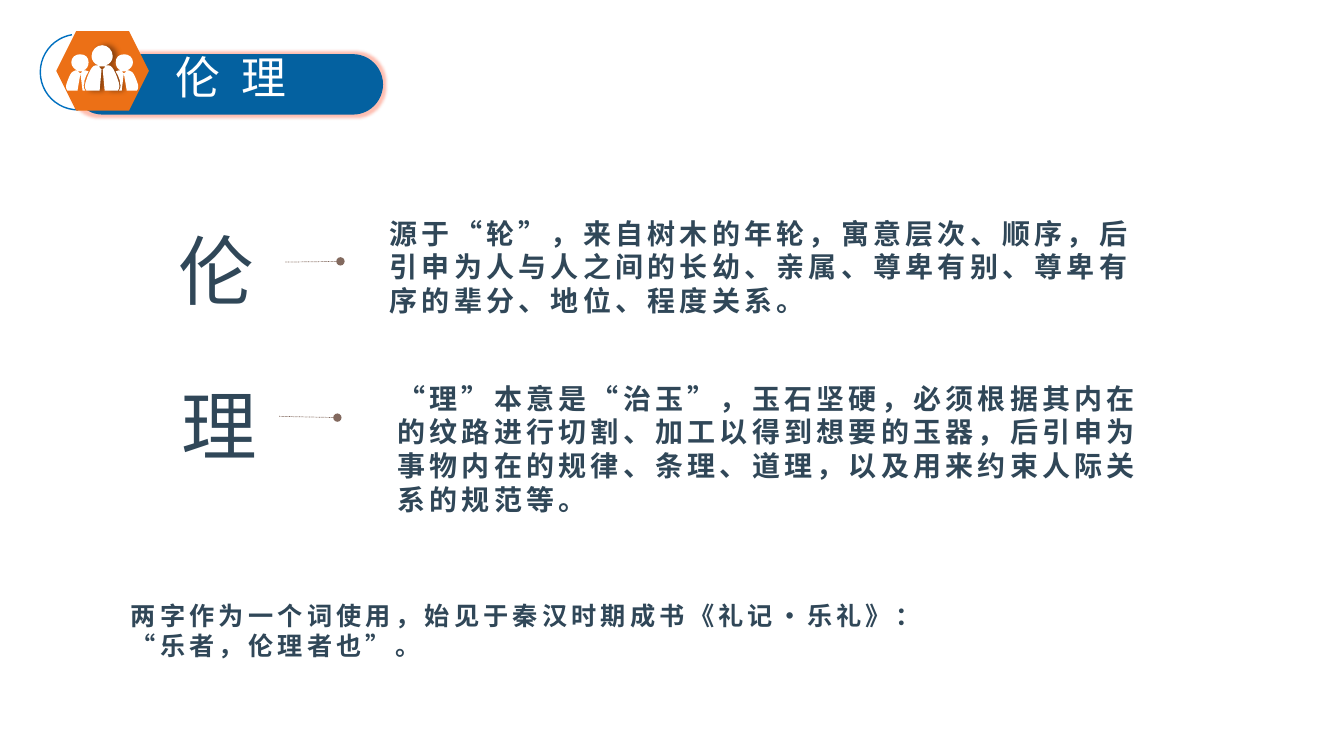
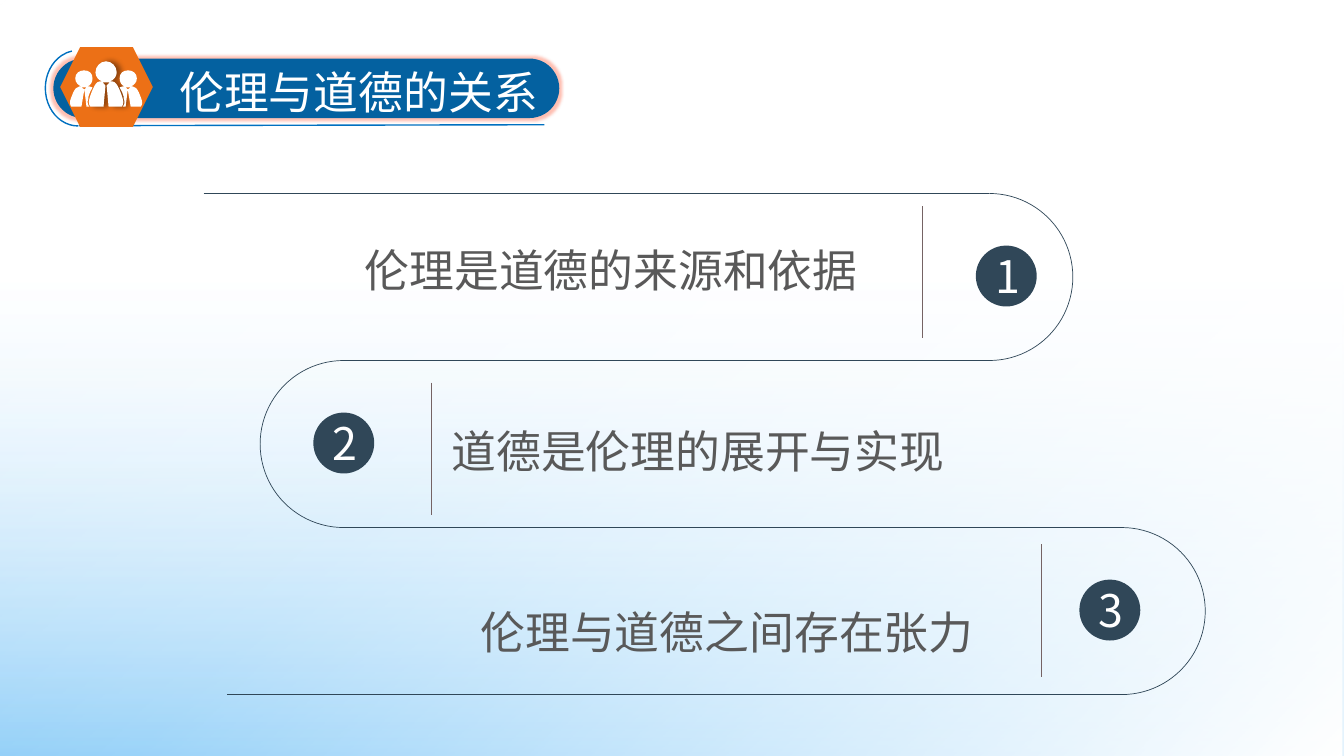
from dataclasses import dataclass
from typing import Any, NamedTuple, Optional

import lxml.etree
import pptx
import pptx.dml.color
import pptx.enum.dml
import pptx.enum.shapes
import pptx.enum.text
import pptx.oxml.ns
import pptx.util

Pt = pptx.util.Pt
RGBColor = pptx.dml.color.RGBColor
SHAPE = pptx.enum.shapes.MSO_SHAPE
ALIGN = pptx.enum.text.PP_ALIGN
qn = pptx.oxml.ns.qn

WHITE = RGBColor(0xFF, 0xFF, 0xFF)
BLACK = RGBColor(0x00, 0x00, 0x00)
SKY = RGBColor(0x67, 0xBD, 0xF6)
BLUE = RGBColor(0x04, 0x61, 0xA0)
BRIGHT_BLUE = RGBColor(0x00, 0x70, 0xC0)
ORANGE = RGBColor(0xEC, 0x70, 0x16)
GLOW = RGBColor(0xFF, 0x60, 0x40)
NAVY = RGBColor(0x30, 0x47, 0x58)
GRAY = RGBColor(0x59, 0x59, 0x59)
BROWN = RGBColor(0x82, 0x69, 0x5E)
MAUVE = RGBColor(0x75, 0x63, 0x64)

CJK_FONT = "Noto Sans CJK SC"
TITLE_FONT = "Times New Roman"
SLIDE_WIDTH, SLIDE_HEIGHT = 960, 540
HEXAGON_WIDTH, HEXAGON_HEIGHT = 66.2, 56.9
ICON_AXIS = 32.8
TRACK_TOP, TRACK_PITCH = 138.2, 119.3
BADGE_OFFSET, BADGE_SIZE = 37.2, 43.5
DIVIDER_HEIGHT = 94.5
RIGHT_ARC = (162, 55.01)
LEFT_ARC = (52.99, 162)
HEADER_ARC = (53.91, 156.32)

Outline = list[tuple[float, ...]]


class Box(NamedTuple):
    left: float
    top: float
    width: float
    height: float


class Style(NamedTuple):
    size: float
    color: RGBColor
    font: str = CJK_FONT
    bold: bool = False
    spacing: float = 0
    line_spacing: Optional[float] = None
    align: Optional[ALIGN] = None
    vertical: bool = False


class Stop(NamedTuple):
    position: int
    color: RGBColor
    alpha: int


@dataclass(frozen=True)
class Header:
    title: str
    title_box: Box
    title_spacing: float
    arc: Box
    pill: Box
    hexagon_left: float
    hexagon_top: float
    underline: Optional[tuple[float, float, float, float]] = None


@dataclass(frozen=True)
class Term:
    character: str
    character_box: Box
    pointer: tuple[float, float, float, float]
    meaning: str
    meaning_box: Box


@dataclass(frozen=True)
class Relation:
    text: str
    text_box: Box
    style: Style
    line_start: float
    line_end: float
    arc_left: float
    arc_angles: tuple[float, float]
    divider_x: float
    divider_offset: float
    badge_left: float


TITLE_STYLE = Style(32, WHITE, TITLE_FONT)
CHARACTER_STYLE = Style(54, NAVY, spacing=3, vertical=True)
MEANING_STYLE = Style(20, NAVY, bold=True, spacing=3)
QUOTE_STYLE = Style(18, NAVY, bold=True, spacing=3)
RELATION_STYLE = Style(32, GRAY, TITLE_FONT)
SPACED_STYLE = RELATION_STYLE._replace(line_spacing=1.3, align=ALIGN.JUSTIFY)
BADGE_STYLE = Style(32, WHITE)

# Outlines around the icon axis: two numbers are a line, six are a cubic curve.
LEADER: Outline = [
    (11.9, 36.7), (11.2, 34.6, 8.3, 24.5, 4.7, 24.5), (2.5, 24.5),
    (5.4, 23.8, 7.6, 20.9, 7.6, 18), (7.6, 13.7, 4, 10.1, 0, 10.1),
    (-4, 10.1, -7.6, 13.7, -7.6, 18), (-7.6, 20.9, -5.4, 23.8, -2.5, 24.5),
    (-4.7, 24.5), (-8.3, 24.5, -11.2, 34.6, -11.9, 36.7),
    (-13.3, 40.3, -11.2, 42.5, -11.2, 42.5), (-1.8, 42.5), (-0.4, 27.4),
    (-2.5, 25.2), (2.5, 25.2), (0.4, 27.4), (1.8, 42.5), (11.2, 42.5),
    (11.2, 42.5, 13.3, 40.3, 11.9, 36.7),
]
COMPANION: Outline = [
    (25.6, 38.2), (24.8, 36, 22.7, 28.1, 19.1, 28.1), (17.6, 28.1),
    (19.8, 27.4, 22, 25.2, 22, 22.3), (22, 18.7, 19.1, 16.6, 15.8, 16.6),
    (11.9, 16.6, 9.7, 18.7, 9.7, 22.3), (9.7, 25.2, 11.2, 27.4, 13.3, 28.1),
    (11.9, 28.1), (11.2, 28.1, 10.4, 28.1, 9.7, 28.8),
    (11.2, 31, 11.9, 33.1, 12.6, 35.3), (12.6, 36.7),
    (14, 39.6, 12.6, 41.8, 11.9, 42.5), (14, 42.5), (15.5, 30.2), (14, 28.8),
    (17.6, 28.8), (15.5, 30.2), (17.6, 42.5), (24.8, 42.5),
    (24.8, 42.5, 26.3, 41, 25.6, 38.2),
]

ETHICS_HEADER = Header(
    "伦 理", Box(118, 31.7, 145, 46), 4, Box(28.8, 24.5, 54, 54),
    Box(51.8, 38.7, 221.8, 43.2), 40.2, 22.2)
RELATION_HEADER = Header(
    "伦理与道德的关系", Box(121, 42.5, 291.6, 46), 0, Box(32.4, 36, 46.8, 54),
    Box(38.1, 41.8, 361.4, 42.5), 43, 33.7, (56.2, 89.8, 388.8, 89.1))

TERMS = [
    Term("伦", Box(108.7, 159.1, 79.9, 56.2), (203.8, 187.2, 243.2, 186.7),
         "源于“轮”，来自树木的年轮，寓意层次、顺序，后引申为人与人之间的长幼、亲属、"
         "尊卑有别、尊卑有序的辈分、地位、程度关系。",
         Box(271.3, 151, 549.4, 79.9)),
    Term("理", Box(110.9, 270, 79.9, 56.2), (199.4, 297.4, 241, 298.3),
         "“理”本意是“治玉”，玉石坚硬，必须根据其内在的纹路进行切割、加工以得到想要的玉器，"
         "后引申为事物内在的规律、条理、道理，以及用来约束人际关系的规范等。",
         Box(276.8, 268.8, 549.4, 104.4)),
]
QUOTE = "两字作为一个词使用，始见于秦汉时期成书《礼记·乐礼》：“乐者，伦理者也”。"

RELATIONS = [
    Relation("伦理是道德的来源和依据", Box(253.4, 169.9, 499, 46), RELATION_STYLE,
             145.4, 706.3, 647, RIGHT_ARC, 658.8, 9, 697),
    Relation("道德是伦理的展开与实现", Box(315.4, 287.3, 499, 57.6), SPACED_STYLE,
             244.8, 706.3, 185.8, LEFT_ARC, 308.2, 15.8, 223.8),
    Relation("伦理与道德之间存在张力", Box(336.2, 416.9, 373.7, 57.6), SPACED_STYLE,
             244.1, 802.8, 741.6, RIGHT_ARC, 743.8, 12, 771),
]
TRACK_BOTTOM = (162.4, 804.2)


def add_color(parent: Any, color: RGBColor, alpha: int) -> None:
    element = lxml.etree.SubElement(parent, qn("a:srgbClr"), val=str(color))
    lxml.etree.SubElement(element, qn("a:alpha"), val=str(alpha * 1000))


def add_effect(shape: Any, tag: str, color: RGBColor, alpha: int, **attributes: str) -> None:
    effects = shape._element.spPr.find(qn("a:effectLst"))
    add_color(lxml.etree.SubElement(effects, qn(tag), attributes), color, alpha)


def add_shape(shapes: Any, kind: SHAPE, box: Box, fill: Optional[RGBColor] = None) -> Any:
    shape = shapes.add_shape(kind, *map(Pt, box))
    shape.shadow.inherit = False
    shape.line.fill.background()
    if fill is None:
        shape.fill.background()
    else:
        shape.fill.solid()
        shape.fill.fore_color.rgb = fill
    return shape


def add_arc(shapes: Any, box: Box, angles: tuple[float, float],
            color: RGBColor, width: float) -> None:
    arc = add_shape(shapes, SHAPE.ARC, box)
    arc.adjustments[0], arc.adjustments[1] = angles
    arc.line.color.rgb = color
    arc.line.width = Pt(width)


def add_line(shapes: Any, ends: tuple[float, float, float, float],
             color: RGBColor, width: float = 0.5) -> Any:
    line = shapes.add_connector(pptx.enum.shapes.MSO_CONNECTOR.STRAIGHT, *map(Pt, ends))
    line.line.color.rgb = color
    line.line.width = Pt(width)
    lxml.etree.SubElement(line._element.spPr, qn("a:effectLst"))
    return line


def add_text(shapes: Any, text: str, box: Box, style: Style) -> None:
    frame = shapes.add_textbox(*map(Pt, box)).text_frame
    frame.word_wrap = True
    frame.auto_size = pptx.enum.text.MSO_AUTO_SIZE.SHAPE_TO_FIT_TEXT
    if style.vertical:
        frame._txBody.bodyPr.set("vert", "eaVert")
    frame.text = text
    paragraph = frame.paragraphs[0]
    paragraph.alignment = style.align
    paragraph.line_spacing = style.line_spacing
    run = paragraph.runs[0]
    run.font.size = Pt(style.size)
    run.font.name = style.font
    run.font.bold = style.bold
    run.font.color.rgb = style.color
    properties = run.font._element
    properties.set("lang", "zh-CN")
    properties.set("spc", str(int(style.spacing * 100)))
    lxml.etree.SubElement(properties, qn("a:ea"), typeface=CJK_FONT)


def mirror(outline: Outline) -> Outline:
    return [tuple(-value if place % 2 == 0 else value for place, value in enumerate(segment))
            for segment in outline]


def add_outline(shapes: Any, outline: Outline, left: float, top: float) -> Any:
    """Draw a white freeform, joining the three points of each curve into a Bézier."""
    points = [(Pt(left + x), Pt(top + y))
              for segment in outline for x, y in zip(segment[::2], segment[1::2])]
    builder = shapes.build_freeform(*points[0])
    builder.add_line_segments(points[1:], close=True)
    shape = builder.convert_to_shape()
    steps = iter(list(shape._element.spPr.iter(qn("a:lnTo"))))
    for segment in outline[1:]:
        first = next(steps)
        if len(segment) == 6:
            first.tag = qn("a:cubicBezTo")
            for _ in range(2):
                control = next(steps)
                first.append(control[0])
                control.getparent().remove(control)
    shape.shadow.inherit = False
    shape.fill.solid()
    shape.fill.fore_color.rgb = WHITE
    shape.line.fill.background()
    return shape


def add_people_icon(shapes: Any, left: float, top: float) -> None:
    icon = shapes.add_group_shape().shapes
    add_shape(icon, SHAPE.HEXAGON, Box(left, top, HEXAGON_WIDTH, HEXAGON_HEIGHT), ORANGE)
    axis = left + ICON_AXIS
    leader = add_outline(icon, LEADER, axis, top)
    add_effect(leader, "a:outerShdw", BLACK, 40,
               blurRad=str(Pt(4)), dist=str(Pt(3)), dir="0")
    for companion in (mirror(COMPANION), COMPANION):
        add_outline(icon, companion, axis, top)


def add_header(shapes: Any, header: Header) -> None:
    banner = shapes.add_group_shape().shapes
    add_arc(banner, header.arc, HEADER_ARC, BRIGHT_BLUE, 1)
    if header.underline:
        add_line(banner, header.underline, BRIGHT_BLUE, 1)
    pill = add_shape(banner, SHAPE.ROUNDED_RECTANGLE, header.pill, BLUE)
    pill.adjustments[0] = 0.5
    add_effect(pill, "a:glow", GLOW, 40, rad=str(Pt(4)))
    add_text(banner, header.title, header.title_box,
             TITLE_STYLE._replace(spacing=header.title_spacing))
    add_people_icon(shapes, header.hexagon_left, header.hexagon_top)


def add_gradient(shapes: Any, angle: int, stops: list[Stop]) -> None:
    """Cover the slide with a partly transparent linear gradient."""
    cover = add_shape(shapes, SHAPE.RECTANGLE, Box(0, 0, SLIDE_WIDTH, SLIDE_HEIGHT))
    gradient = lxml.etree.Element(qn("a:gradFill"), rotWithShape="1")
    stop_list = lxml.etree.SubElement(gradient, qn("a:gsLst"))
    for stop in stops:
        element = lxml.etree.SubElement(stop_list, qn("a:gs"), pos=str(stop.position * 1000))
        add_color(element, stop.color, stop.alpha)
    lxml.etree.SubElement(gradient, qn("a:lin"), ang=str(angle * 60000), scaled="0")
    properties = cover._element.spPr
    properties.replace(properties.find(qn("a:noFill")), gradient)


def add_term(shapes: Any, term: Term) -> None:
    add_text(shapes, term.character, term.character_box, CHARACTER_STYLE)
    add_text(shapes, term.meaning, term.meaning_box, MEANING_STYLE)
    pointer = add_line(shapes, term.pointer, BROWN)
    pointer.line.dash_style = pptx.enum.dml.MSO_LINE.ROUND_DOT
    lxml.etree.SubElement(pointer.line._get_or_add_ln(), qn("a:tailEnd"), type="oval")


def add_relation(shapes: Any, index: int, relation: Relation) -> None:
    top = TRACK_TOP + index * TRACK_PITCH
    add_line(shapes, (relation.line_start, top, relation.line_end, top), NAVY)
    add_arc(shapes, Box(relation.arc_left, top, TRACK_PITCH, TRACK_PITCH),
            relation.arc_angles, NAVY, 0.5)
    add_text(shapes, relation.text, relation.text_box, relation.style)
    divider_top = top + relation.divider_offset
    add_line(shapes, (relation.divider_x, divider_top,
                      relation.divider_x, divider_top + DIVIDER_HEIGHT), MAUVE)
    badge = shapes.add_group_shape().shapes
    left, badge_top = relation.badge_left, top + BADGE_OFFSET
    add_shape(badge, SHAPE.OVAL, Box(left, badge_top, BADGE_SIZE, BADGE_SIZE), NAVY)
    add_text(badge, str(index + 1), Box(left + 6.8, badge_top - 1, 28.1, 46), BADGE_STYLE)


def main() -> None:
    presentation = pptx.Presentation()
    presentation.slide_width, presentation.slide_height = Pt(SLIDE_WIDTH), Pt(SLIDE_HEIGHT)
    blank = presentation.slide_layouts[6]

    shapes = presentation.slides.add_slide(blank).shapes
    add_header(shapes, ETHICS_HEADER)
    for term in TERMS:
        add_term(shapes, term)
    add_text(shapes, QUOTE, Box(86.4, 425, 576, 51.1), QUOTE_STYLE)

    shapes = presentation.slides.add_slide(blank).shapes
    add_gradient(shapes, 90, [Stop(0, WHITE, 0), Stop(37, WHITE, 25), Stop(100, SKY, 88)])
    add_gradient(shapes, 45, [Stop(0, WHITE, 0), Stop(42, WHITE, 25), Stop(100, WHITE, 100)])
    add_header(shapes, RELATION_HEADER)
    for index, relation in enumerate(RELATIONS):
        add_relation(shapes, index, relation)
    bottom = TRACK_TOP + len(RELATIONS) * TRACK_PITCH
    add_line(shapes, (TRACK_BOTTOM[0], bottom, TRACK_BOTTOM[1], bottom), NAVY)

    presentation.save("out.pptx")


if __name__ == "__main__":
    main()
